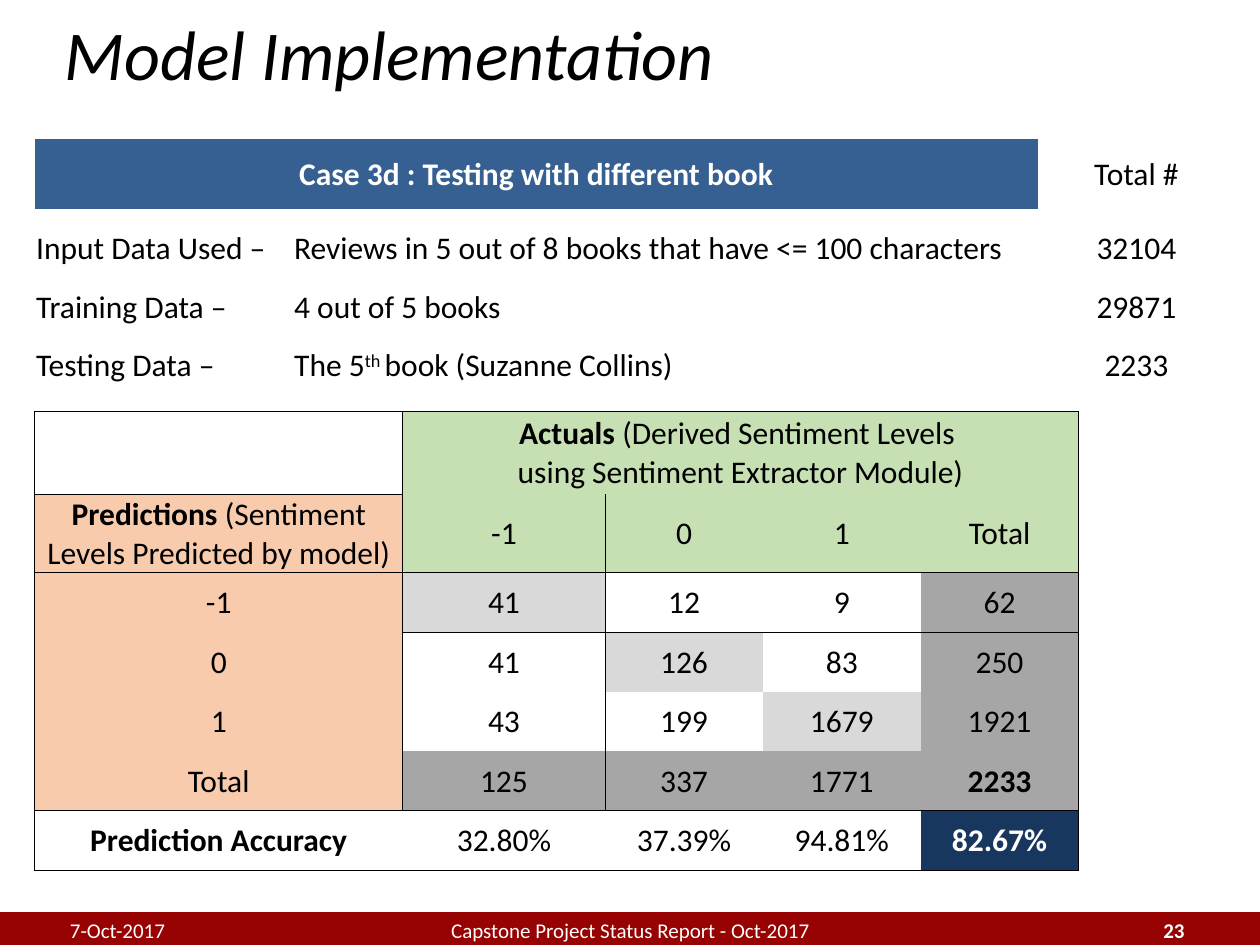
from lxml import etree
from pptx import Presentation
from pptx import util as u
from pptx.dml import color
from pptx.enum import shapes, text
from pptx.oxml import ns

BLACK = color.RGBColor(0x00, 0x00, 0x00)
WHITE = color.RGBColor(0xFF, 0xFF, 0xFF)
MAROON = color.RGBColor(0x97, 0x03, 0x03)
BLUE = color.RGBColor(0x37, 0x60, 0x92)
NAVY = color.RGBColor(0x17, 0x37, 0x5E)
GREEN = color.RGBColor(0xC6, 0xE0, 0xB4)
PEACH = color.RGBColor(0xF8, 0xCB, 0xAD)
PALE_GREY = color.RGBColor(0xD9, 0xD9, 0xD9)
GREY = color.RGBColor(0xA6, 0xA6, 0xA6)
LEFT, CENTER, RIGHT = text.PP_ALIGN.LEFT, text.PP_ALIGN.CENTER, text.PP_ALIGN.RIGHT
NO_STYLE = "{2D5ABB26-0587-4C30-8999-92F81FD0307C}"


def write(para, words, size=18, ink=BLACK, bold=False, italic=False, raised=False):
    """Add words to a paragraph, with a line break at each newline."""
    for number, line in enumerate(words.split("\n")):
        if number:
            para.add_line_break()
        span = para.add_run()
        span.text = line
        font = span.font
        font.name, font.size, font.bold, font.italic = "Calibri", u.Pt(size), bold, italic
        font.color.rgb = ink
        if raised:
            font._element.set("baseline", "30000")


class Page:
    """Hold the style and the current slide, and add elements to it."""

    def __init__(self, deck):
        self.slide = deck.slides.add_slide(deck.slide_layouts[6])

    def bar(self, left, top, width, height, fill):
        box = self.slide.shapes.add_shape(
            shapes.MSO_SHAPE.RECTANGLE, u.Cm(left), u.Cm(top), u.Cm(width), u.Cm(height))
        box.shadow.inherit = False
        box.fill.solid()
        box.fill.fore_color.rgb = box.line.color.rgb = fill
        box.line.width = u.Pt(2)

    def label(self, words, left, top, width, height, align=LEFT, **style):
        box = self.slide.shapes.add_textbox(u.Cm(left), u.Cm(top), u.Cm(width), u.Cm(height))
        frame = box.text_frame
        frame.word_wrap = True
        frame.vertical_anchor = text.MSO_ANCHOR.MIDDLE
        para = frame.paragraphs[0]
        para.alignment = align
        write(para, words, **style)

    def table(self, left, top, widths, heights):
        frame = self.slide.shapes.add_table(
            len(heights), len(widths), u.Cm(left), u.Cm(top),
            u.Cm(sum(widths)), u.Cm(sum(heights)))
        table = frame.table
        table.first_row = table.horz_banding = False
        table._tbl.tblPr.find(ns.qn("a:tableStyleId")).text = NO_STYLE
        for column, width in zip(table.columns, widths):
            column.width = u.Cm(width)
        for row, height in zip(table.rows, heights):
            row.height = u.Cm(height)
        for cell in table.iter_cells():
            cell.margin_left = cell.margin_right = cell.margin_top = u.Cm(0.03)
            cell.margin_bottom = 0
            cell.vertical_anchor = text.MSO_ANCHOR.MIDDLE
            cell.fill.background()
        return table

    def cell(self, cell, spans, fill=None, align=CENTER, spacing=None, **style):
        para = cell.text_frame.paragraphs[0]
        para.alignment = align
        if spacing:
            para.line_spacing = spacing
        for words, change in [(spans, {})] if isinstance(spans, str) else spans:
            write(para, words, **{**style, **change})
        if fill is not None:
            cell.fill.solid()
            cell.fill.fore_color.rgb = fill

    def outline(self, table, top, left, bottom, right):
        for row in range(top, bottom + 1):
            for column in range(left, right + 1):
                cell = table.cell(row, column)
                edges = {
                    "lnL": column == left,
                    "lnR": column + cell.span_width - 1 == right,
                    "lnT": row == top,
                    "lnB": row == bottom,
                }
                sides = [side for side, drawn in edges.items() if drawn]
                for place, side in enumerate(sides):
                    line = etree.Element(ns.qn("a:" + side), w=str(u.Pt(0.5)))
                    paint = etree.SubElement(line, ns.qn("a:solidFill"))
                    etree.SubElement(paint, ns.qn("a:srgbClr"), val=str(BLACK))
                    cell._tc.get_or_add_tcPr().insert(place, line)


def add_data_summary(page):
    table = page.table(0.7, 2.81, [5.2, 15.02, 0.35, 3.28], [1.4] + [1.18] * 3)
    table.cell(0, 0).merge(table.cell(0, 1))
    page.cell(table.cell(0, 0), "Case 3d : Testing with different book",
              fill=BLUE, ink=WHITE, bold=True)
    page.cell(table.cell(0, 3), "Total #")
    fifth_book = [("The 5", {}), ("th ", {"raised": True}), ("book (Suzanne Collins)", {})]
    data = [
        ("Input Data Used –", "Reviews in 5 out of 8 books that have <= 100 characters", "32104"),
        ("Training Data –", "4 out of 5 books", "29871"),
        ("Testing Data –", fifth_book, "2233"),
    ]
    for row, entries in enumerate(data, 1):
        for column, align, entry in zip((0, 1, 3), (LEFT, LEFT, CENTER), entries):
            page.cell(table.cell(row, column), entry, align=align, spacing=1.5)


def add_confusion_matrix(page):
    table = page.table(0.7, 8.29, [7.42, 4.08] + [3.18] * 3, [1.67, 1.58] + [1.2] * 5)
    table.cell(0, 1).merge(table.cell(0, 4))
    page.cell(table.cell(0, 1), [
        ("Actuals ", {"bold": True}),
        ("(Derived Sentiment Levels \nusing Sentiment Extractor Module)", {})], fill=GREEN)
    page.cell(table.cell(1, 0), [
        ("Predictions ", {"bold": True}),
        ("(Sentiment Levels Predicted by model)", {})], fill=PEACH)

    levels = ["-1", "0", "1", "Total"]
    counts = [[41, 12, 9, 62], [41, 126, 83, 250], [43, 199, 1679, 1921], [125, 337, 1771, 2233]]
    accuracy = ["32.80%", "37.39%", "94.81%", "82.67%"]
    last = len(levels) - 1
    page.cell(table.cell(6, 0), "Prediction Accuracy", bold=True)
    for i, level in enumerate(levels):
        page.cell(table.cell(1, i + 1), level, fill=GREEN)
        page.cell(table.cell(i + 2, 0), level, fill=PEACH)
        for j, count in enumerate(counts[i]):
            fill = GREY if last in (i, j) else PALE_GREY if i == j else None
            page.cell(table.cell(i + 2, j + 1), str(count), fill=fill, bold=i == j == last)
        overall = {"fill": NAVY, "ink": WHITE, "bold": True} if i == last else {}
        page.cell(table.cell(6, i + 1), accuracy[i], **overall)

    regions = [(0, 0, 0, 0), (0, 1, 1, 4), (1, 0, 5, 0), (2, 1, 5, 4), (6, 0, 6, 4)]
    for region in regions:
        page.outline(table, *region)


def main():
    deck = Presentation()
    deck.slide_width, deck.slide_height = u.Cm(25.4), u.Cm(19.05)
    page = Page(deck)
    page.bar(0, 18.42, 25.4, 0.63, MAROON)
    page.label("Model Implementation", 1.06, 0, 23.5, 2.1, size=40, italic=True)
    footer = [
        ("Capstone Project Status Report - Oct-2017", 8.05, 9.32, CENTER, False),
        ("23", 18.2, 5.93, RIGHT, True),
        ("7-Oct-2017", 1.16, 5.93, LEFT, False),
    ]
    for words, left, width, align, bold in footer:
        page.label(words, left, 18.24, width, 1.02, align, size=12, ink=WHITE, bold=bold)
    add_data_summary(page)
    add_confusion_matrix(page)
    deck.save("out.pptx")


if __name__ == "__main__":
    main()
